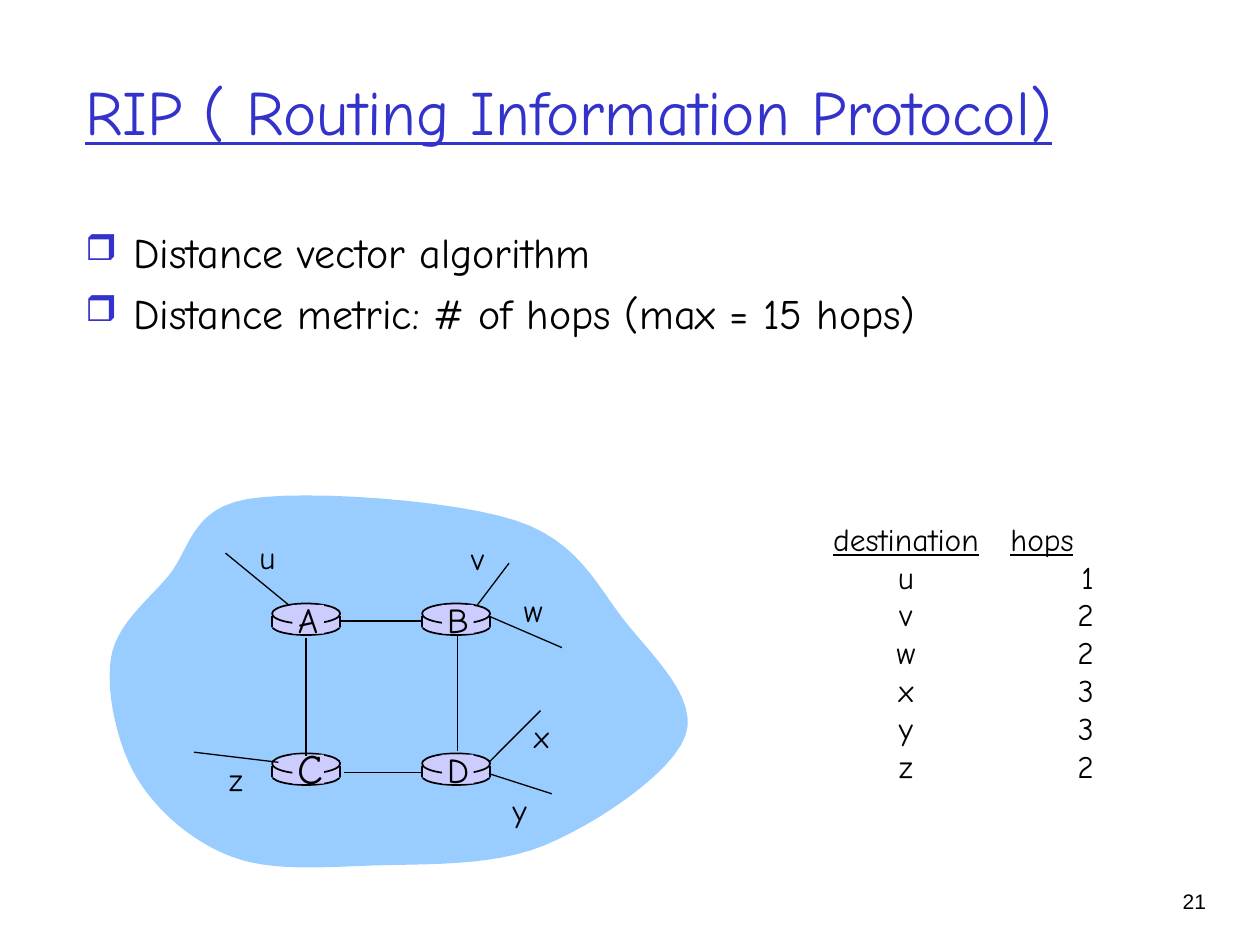
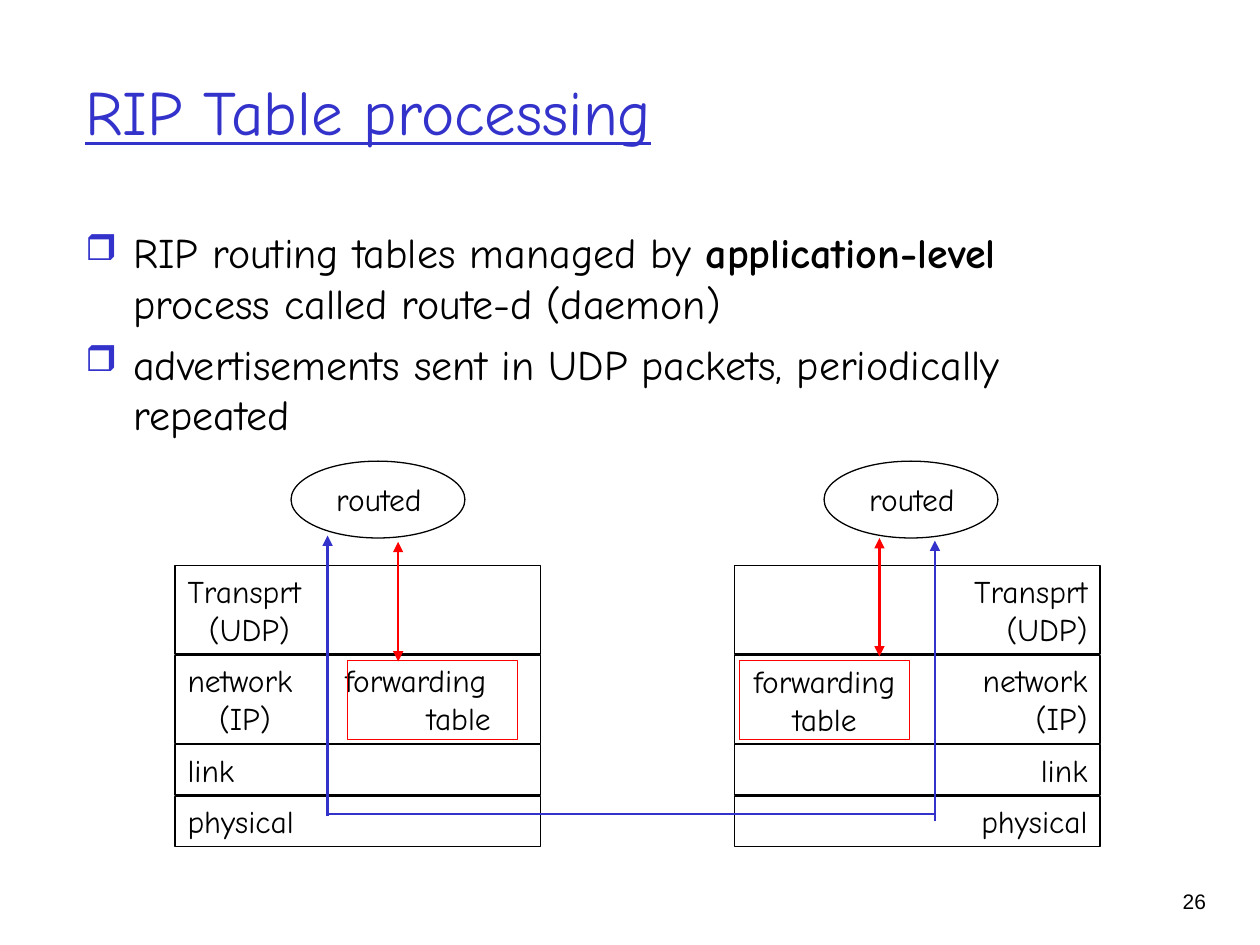
from itertools import product

from lxml.etree import SubElement
from pptx import Presentation
from pptx.dml.color import RGBColor
from pptx.enum.shapes import MSO_CONNECTOR as CONNECTOR, MSO_SHAPE as SHAPE
from pptx.enum.text import MSO_ANCHOR as ANCHOR, PP_ALIGN as ALIGN
from pptx.oxml.ns import qn
from pptx.util import Inches, Pt

COLORS = {"ink": "000000", "accent": "3333CC", "red": "FF0000",
          "cloud": "99CCFF", "router": "CCCCFF"}
FONT = "Comic Neue"


def add_box(page, at, lines=(), kind=None, fill=None, line=None, weight=0.75, size=18,
            color="ink", font=FONT, underline=False, align=ALIGN.LEFT,
            anchor=ANCHOR.TOP, wrap=True):
    """Add a preset shape, or a text box if no kind is given; a line is a list of (text, bold)."""
    place = [Inches(length) for length in at]
    if kind is None:
        box = page.shapes.add_textbox(*place)
    else:
        box = page.shapes.add_shape(kind, *place)
        box.shadow.inherit = False
    for part, tone in ((box.fill, fill), (box.line.fill, line)):
        if tone:
            part.solid()
            part.fore_color.rgb = RGBColor.from_string(COLORS[tone])
        else:
            part.background()
    if line:
        box.line.width = Pt(weight)
    frame = box.text_frame
    frame.word_wrap, frame.vertical_anchor = wrap, anchor
    for number, spans in enumerate(lines):
        para = frame.add_paragraph() if number else frame.paragraphs[0]
        para.alignment = align
        for text, bold in ([(spans, False)] if isinstance(spans, str) else spans):
            span = para.add_run()
            span.text = text
            style = {"name": font, "size": Pt(size), "bold": bold, "underline": underline}
            for name, value in style.items():
                setattr(span.font, name, value)
            span.font.color.rgb = RGBColor.from_string(COLORS[color])
    return box


def add_line(page, start, end, color="ink", weight=0.75, arrows=()):
    """Add a straight line; arrows may name headEnd (at start) and tailEnd (at end)."""
    ends = [Inches(length) for length in (*start, *end)]
    line = page.shapes.add_connector(CONNECTOR.STRAIGHT, *ends)
    line.line.color.rgb = RGBColor.from_string(COLORS[color])
    line.line.width = Pt(weight)
    properties = line._element.spPr
    for arrow in arrows:
        SubElement(properties.find(qn("a:ln")), qn(f"a:{arrow}"), type="triangle")
    SubElement(properties, qn("a:effectLst"))


deck = Presentation()
deck.slide_width, deck.slide_height = Inches(10), Inches(7.5)

# Shared frame of both slides: number, title and bullets
contents = [
    ("21", "RIP ( Routing Information Protocol)", 9,
     ["Distance vector algorithm", "Distance metric: # of hops (max = 15 hops)"]),
    ("26", "RIP Table processing", 8.5,
     [[("RIP routing tables managed by ", False), ("application-level", True),
       (" process called route-d (daemon)", False)],
      "advertisements sent in UDP packets, periodically repeated"]),
]
pages = []
for number, title, body_width, bullets in contents:
    page = deck.slides.add_slide(deck.slide_layouts[6])
    pages.append(page)
    add_box(page, (8.93, 7, 0.74, 0.5), [number], size=12, font="Arial", align=ALIGN.RIGHT)
    add_box(page, (0.58, 0.25, 8.94, 1.25), [title], size=36, color="accent",
            underline=True, anchor=ANCHOR.MIDDLE)
    body = add_box(page, (0.58, 1.75, body_width, 1.85), bullets, size=24)
    for para in body.text_frame.paragraphs:
        para.space_before = Pt(6)
        format_ = para._p.get_or_add_pPr()
        format_.set("marL", str(Inches(0.38)))
        format_.set("indent", str(Inches(-0.38)))
        bullet_color = SubElement(format_, qn("a:buClr"))
        SubElement(bullet_color, qn("a:srgbClr"), val=COLORS["accent"])
        SubElement(format_, qn("a:buSzPct"), val="85000")
        SubElement(format_, qn("a:buChar"), char="❒")
network_page, table_page = pages

# Cloud: a smooth closed curve (Catmull-Rom) through the knots
knots = [(0.88, 5.23), (1.33, 4.58), (1.97, 3.96), (4.09, 4.13), (4.96, 4.93),
         (5.44, 5.84), (4.32, 6.71), (2.94, 6.87), (1.84, 6.8), (1.09, 6.18)]
STEPS = 12
outline = []
for index in range(len(knots)):
    nearby = [knots[(index + shift) % len(knots)] for shift in (-1, 0, 1, 2)]
    for step in range(STEPS):
        t = step / STEPS
        outline.append([
            Inches(b + t * (c - a) / 2 + t**2 * (2 * a - 5 * b + 4 * c - d) / 2
                   + t**3 * (3 * b - a - 3 * c + d) / 2)
            for a, b, c, d in zip(*nearby)])
builder = network_page.shapes.build_freeform(*outline[0])
builder.add_line_segments(outline[1:], close=True)
cloud = builder.convert_to_shape()
cloud.shadow.inherit = False
cloud.fill.solid()
cloud.fill.fore_color.rgb = RGBColor.from_string(COLORS["cloud"])
cloud.line.fill.background()

# Routers on a two by two grid
for name, (top, left) in zip("ABCD", product((4.79, 5.98), (2.16, 3.35))):
    disc = {"kind": SHAPE.OVAL, "fill": "router", "line": "ink", "weight": 1}
    add_box(network_page, (left, top + 0.11, 0.54, 0.14), **disc)
    add_box(network_page, (left, top + 0.1, 0.54, 0.09), kind=SHAPE.RECTANGLE, fill="router")
    for side in (left, left + 0.54):
        add_line(network_page, (side, top + 0.1), (side, top + 0.19), weight=1)
    add_box(network_page, (left, top, 0.54, 0.16), **disc)
    add_box(network_page, (left + 0.16, top + 0.01, 0.25, 0.23),
            kind=SHAPE.RECTANGLE, fill="router")
    size, rise = (24, 0.14) if name == "C" else (20, 0.09)
    add_box(network_page, (left + 0.1, top - rise, 0.37, 0.44), [name], size=size,
            align=ALIGN.CENTER, wrap=False)

router_links = [((2.71, 4.93), (3.35, 4.93)), ((2.73, 6.13), (3.36, 6.13)),
                ((2.43, 5.06), (2.43, 6)), ((3.63, 5.05), (3.63, 5.96))]
for start, end in router_links:
    add_line(network_page, start, end, weight=1)

# Attached subnets: name, line start, line end, label place and width
subnets = [
    ("u", (2.29, 4.8), (1.79, 4.39), (1.96, 4.22, 0.33)),
    ("v", (3.79, 4.8), (4.04, 4.47), (3.64, 4.23, 0.3)),
    ("w", (3.88, 4.89), (4.46, 5.14), (4.06, 4.64, 0.35)),
    ("x", (3.88, 6.05), (4.29, 5.64), (4.14, 5.64, 0.32)),
    ("y", (3.88, 6.14), (4.38, 6.3), (3.97, 6.23, 0.31)),
    ("z", (2.21, 6.05), (1.54, 5.97), (1.72, 5.98, 0.31)),
]
for name, start, end, label in subnets:
    add_line(network_page, start, end)
    add_box(network_page, (*label, 0.4), [name], wrap=False)

# Hop counts
hops = [("destination", "hops"), *zip("uvwxyz", "122332")]
table = network_page.shapes.add_table(
    len(hops), 2, Inches(6.5), Inches(4.15), Inches(2.18), Inches(0.3 * len(hops))).table
table.first_row = table.horz_banding = False
for column, width in zip(table.columns, (1.38, 0.8)):
    column.width = Inches(width)
for (row, values), column in product(enumerate(hops), range(2)):
    cell = table.cell(row, column)
    cell.fill.background()
    margins = {"margin_left": 0.14 * column, "margin_right": 0,
               "margin_top": 0, "margin_bottom": 0}
    for name, value in margins.items():
        setattr(cell, name, Inches(value))
    para = cell.text_frame.paragraphs[0]
    para.alignment = (ALIGN.CENTER if column == 0
                      else ALIGN.RIGHT if row else ALIGN.LEFT)
    span = para.add_run()
    span.text = values[column]
    for name, value in {"name": FONT, "size": Pt(18), "underline": row == 0}.items():
        setattr(span.font, name, value)
    span.font.color.rgb = RGBColor.from_string(COLORS["ink"])

# Protocol stacks of the two hosts
LAYER_GAP = 0.01
layers = [(0.7, ["Transprt", "(UDP)"]), (0.7, ["network", "(IP)"]),
          (0.4, ["link"]), (0.4, ["physical"])]
table_words = ["forwarding", "table"]
# Left host: indent of the second line, then tab stops for the forwarding table words
second_line_indents = {"Transprt": 0.17, "network": 0.25}
table_tabs = (1.25, 1.65)
hosts = [(1.39, ALIGN.LEFT, 2.31), (5.83, ALIGN.RIGHT, 6.54)]
for left, align, process_left in hosts:
    top = 4.49
    for height, words in layers:
        on_left = align == ALIGN.LEFT
        holds_table = on_left and words[0] == "network"
        lines = ([f"{word}\t{entry}" for word, entry in zip(words, table_words)]
                 if holds_table else words)
        layer = add_box(table_page, (left, top, 2.9, height), lines,
                        kind=SHAPE.RECTANGLE, line="ink", align=align)
        paras = layer.text_frame.paragraphs
        if on_left and len(words) > 1:
            indent = Inches(second_line_indents[words[0]])
            paras[1]._p.get_or_add_pPr().set("marL", str(indent))
        if holds_table:
            for para, stop in zip(paras, table_tabs):
                tabs = SubElement(para._p.get_or_add_pPr(), qn("a:tabLst"))
                SubElement(tabs, qn("a:tab"), pos=str(Inches(stop)), algn="l")
        top += height + LAYER_GAP
    add_box(table_page, (process_left, 3.66, 1.38, 0.61), kind=SHAPE.OVAL, line="ink")
    add_box(table_page, (process_left + 0.26, 3.76, 0.89, 0.4), ["routed"], wrap=False)

for left, lines in ((2.76, ()), (5.87, table_words)):
    add_box(table_page, (left, 5.24, 1.35, 0.63), lines, kind=SHAPE.RECTANGLE, line="red",
            align=ALIGN.CENTER, anchor=ANCHOR.MIDDLE, wrap=False)

# Advertisement route between the hosts, and table access within each
message = {"color": "accent", "weight": 1.5}
add_line(table_page, (2.6, 6.48), (2.6, 4.25), arrows=["tailEnd"], **message)
add_line(table_page, (7.42, 6.52), (7.42, 4.29), arrows=["tailEnd"], **message)
add_line(table_page, (2.6, 6.46), (7.43, 6.46), **message)
for x, top, bottom in ((3.16, 4.3, 5.25), (6.98, 4.27, 5.21)):
    add_line(table_page, (x, top), (x, bottom), color="red", weight=1.5,
             arrows=["headEnd", "tailEnd"])

deck.save("out.pptx")
